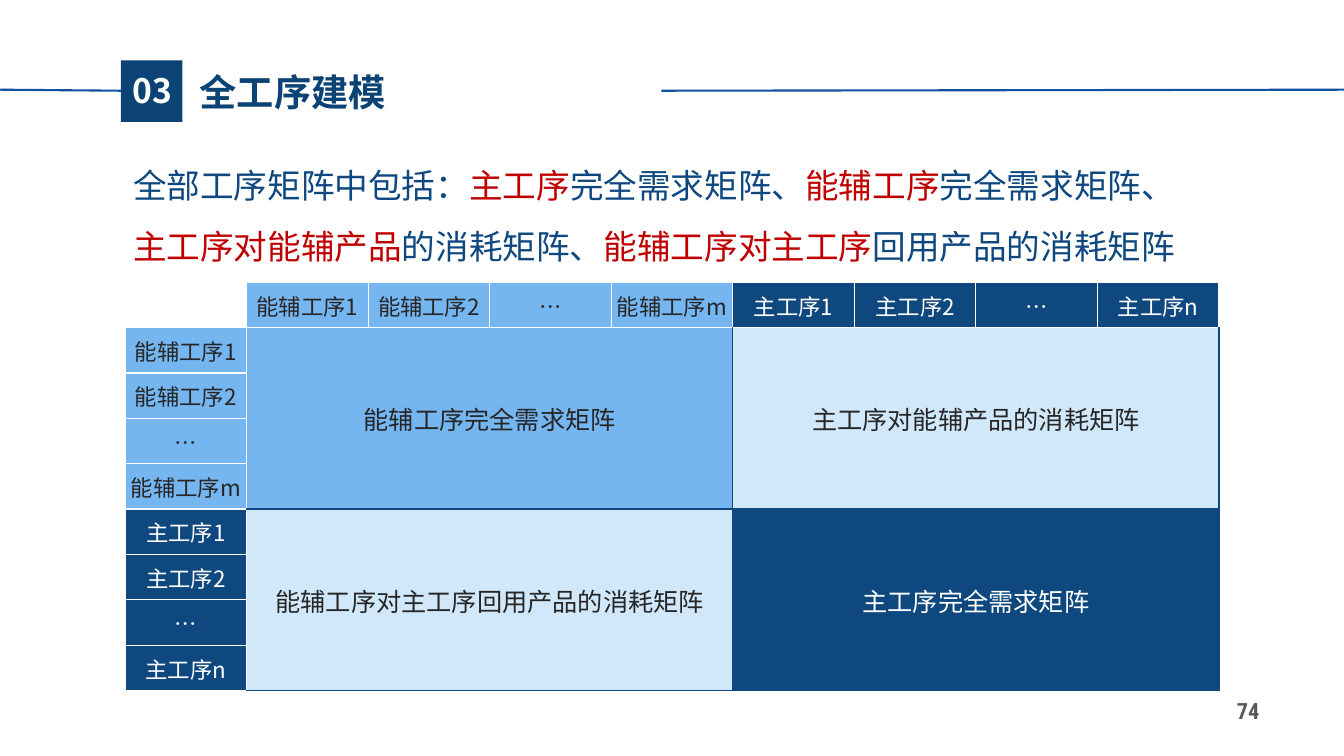
from lxml import etree
from pptx import Presentation
from pptx import util as u
from pptx.dml.color import RGBColor
from pptx.enum import shapes, text
from pptx.oxml import ns

HUES = {"deep": "0C4375", "navy": "0E487F", "rule": "1052A0", "sky": "75B6F1",
        "pale": "D1E7FA", "red": "C00000", "ink": "262626", "gray": "595959",
        "white": "FFFFFF"}
SANS = "Noto Sans CJK SC"
MID = text.MSO_ANCHOR.MIDDLE
MID_ALIGN = text.PP_ALIGN.CENTER


def hue(name):
    return RGBColor.from_string(HUES[name])


def write(frame, *runs, size=16, face=SANS, bold=False, align=MID_ALIGN, space=1.0):
    """Fill the first paragraph with (words, color) runs."""
    para = frame.paragraphs[0]
    para.alignment = align
    para.line_spacing = space
    para.space_before = u.Pt(0)
    for words, color in runs:
        run = para.add_run()
        run.text = words
        font = run.font
        font.size, font.name, font.bold = u.Pt(size), face, bold
        font.color.rgb = hue(color)
        east = etree.SubElement(run._r.get_or_add_rPr(), ns.qn("a:ea"))
        east.set("typeface", face)


deck = Presentation()
deck.slide_width, deck.slide_height = u.Inches(13.33), u.Inches(7.5)
slide = deck.slides.add_slide(deck.slide_layouts[2])
title, badge = slide.placeholders

# Header: rules, square, number and title
for x1, y1, x2, y2 in [(0, 0.89, 1.2, 0.9), (6.56, 0.9, 13.33, 0.89)]:
    rule = slide.shapes.add_connector(
        shapes.MSO_CONNECTOR.STRAIGHT, *map(u.Inches, (x1, y1, x2, y2)))
    rule.line.color.rgb = hue("rule")
    rule.line.width = u.Pt(1.5)
    etree.SubElement(rule._element.spPr, ns.qn("a:effectLst"))

square = slide.shapes.add_shape(
    shapes.MSO_SHAPE.RECTANGLE, *map(u.Inches, (1.2, 0.6, 0.61, 0.61)))
square.shadow.inherit = False
square.fill.solid()
square.fill.fore_color.rgb = hue("deep")
square.line.fill.background()
title.element.addprevious(square.element)

heads = [(title, (1.88, 0.63, 2.07, 0.55), "全工序建模", 26.6, "deep", text.PP_ALIGN.LEFT),
         (badge, (1.19, 0.64, 0.64, 0.5), "03", 24, "white", MID_ALIGN)]
for shape, place, words, size, color, align in heads:
    shape.left, shape.top, shape.width, shape.height = map(u.Inches, place)
    frame = shape.text_frame
    frame.auto_size = text.MSO_AUTO_SIZE.NONE
    frame.word_wrap = shape is badge
    frame.vertical_anchor = MID
    write(frame, (words, color), size=size, bold=True, align=align)

# Summary
intro = slide.shapes.add_textbox(*map(u.Inches, (1.19, 1.37, 10.85, 1.27))).text_frame
intro.word_wrap = True
intro.margin_left = intro.margin_right = u.Inches(0.13)
intro.margin_top = intro.margin_bottom = u.Inches(0.07)
write(intro,
      ("全部工序矩阵中包括：", "navy"), ("主工序", "red"),
      ("完全需求矩阵、", "navy"), ("能辅工序", "red"),
      ("完全需求矩阵、", "navy"), ("主工序对能辅产品", "red"),
      ("的消耗矩阵、", "navy"), ("能辅工序对主工序", "red"),
      ("回用产品的消耗矩阵", "navy"),
      size=24, align=text.PP_ALIGN.LEFT, space=1.5)

# Matrix: one label row and column around four merged blocks
COUNT, HALF = 9, 4
table = slide.shapes.add_table(
    COUNT, COUNT, *map(u.Inches, (1.24, 2.8, 10.85, 4.05))).table
table.first_row = table.horz_banding = False
for col in table.columns:
    col.width = u.Inches(10.85 / COUNT)
for row in table.rows:
    row.height = u.Inches(0.45)

labels = [(f"{kind}工序{n}" if n != "…" else n, fill, ink)
          for kind, last, fill, ink in [("能辅", "m", "sky", "ink"), ("主", "n", "navy", "white")]
          for n in ("1", "2", "…", last)]
plain = dict.fromkeys("LRTB", "white")
cells = [(0, 0, "", None, "ink", 16, plain)]
for i, (words, fill, ink) in enumerate(labels, 1):
    cells += [(0, i, words, fill, ink, 16, plain), (i, 0, words, fill, ink, 16, plain)]

blocks = [(1, 1, "能辅工序完全需求矩阵", "sky", "ink"),
          (1, 5, "主工序对能辅产品的消耗矩阵", "pale", "ink"),
          (5, 1, "能辅工序对主工序回用产品的消耗矩阵", "pale", "ink"),
          (5, 5, "主工序完全需求矩阵", "navy", "white")]
for row, col, words, fill, ink in blocks:
    table.cell(row, col).merge(table.cell(row + HALF - 1, col + HALF - 1))
    edges = {"L": "white" if col == 1 else "navy", "R": "navy",
             "T": "white" if row == 1 else "navy", "B": "navy"}
    cells.append((row, col, words, fill, ink, 18, edges))
    cells += [(r, c, "", fill, ink, 18, edges)
              for r in range(row, row + HALF) for c in range(col, col + HALF)
              if (r, c) != (row, col)]

for row, col, words, fill, ink, size, edges in cells:
    cell = table.cell(row, col)
    cell.vertical_anchor = MID
    cell.margin_left = cell.margin_right = cell.margin_top = u.Inches(0.01)
    cell.margin_bottom = 0
    props = cell._tc.get_or_add_tcPr()
    for side, color in edges.items():
        edge = etree.SubElement(props, ns.qn(f"a:ln{side}"), w=str(u.Pt(1)))
        paint = etree.SubElement(edge, ns.qn("a:solidFill"))
        etree.SubElement(paint, ns.qn("a:srgbClr"), val=HUES[color])
    if fill:
        cell.fill.solid()
        cell.fill.fore_color.rgb = hue(fill)
    else:
        cell.fill.background()
    if words:
        write(cell.text_frame, (words, ink), size=size)

# Page number
page = slide.shapes.add_textbox(*map(u.Inches, (12.07, 6.87, 0.62, 0.36))).text_frame
page.word_wrap = True
page.vertical_anchor = MID
write(page, ("74", "gray"), face="Roboto Condensed", bold=True)

deck.save("out.pptx")
